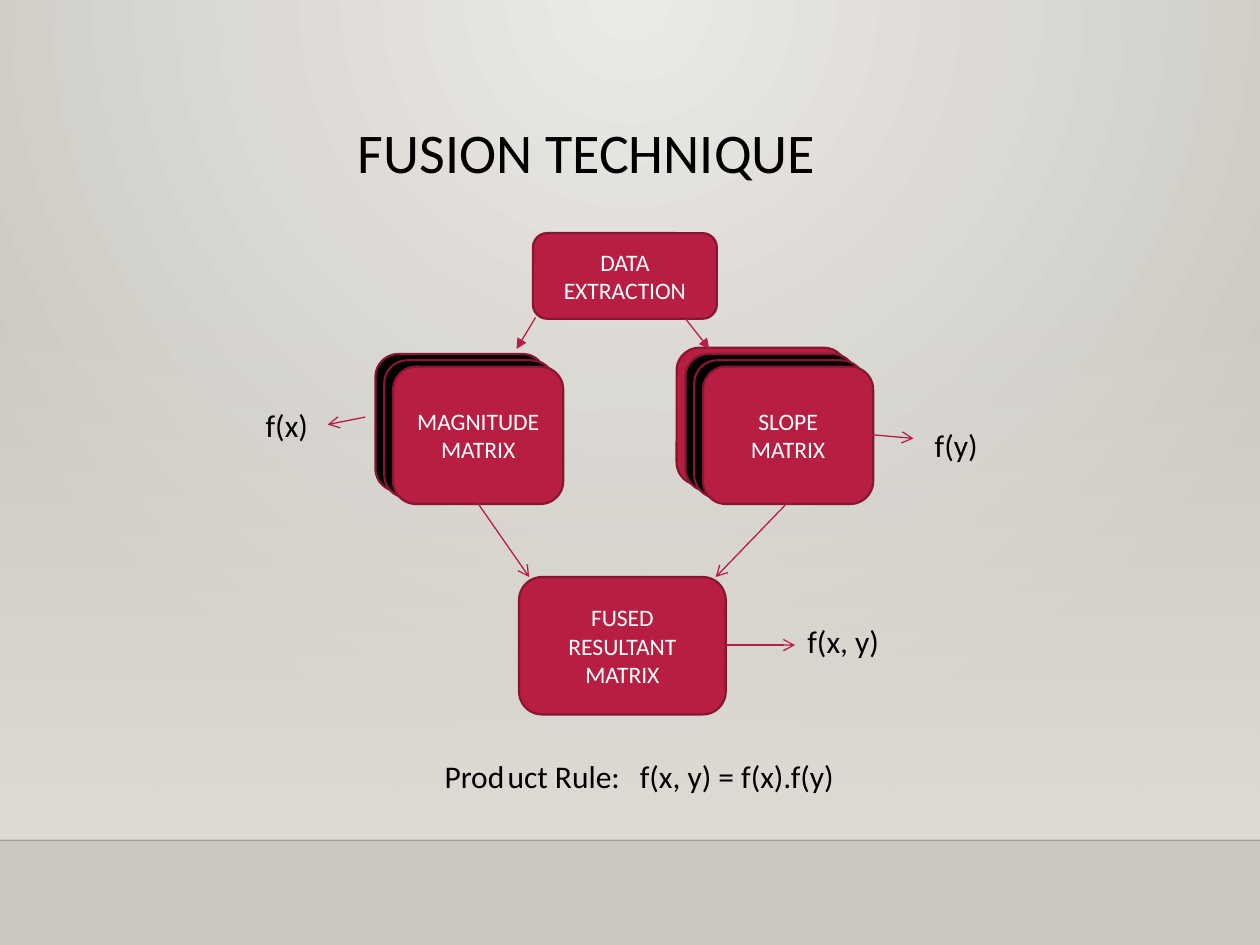
from lxml import etree
from pptx import Presentation
from pptx.dml.color import RGBColor
from pptx.enum import shapes, text
from pptx.oxml import parse_xml
from pptx.oxml.ns import nsdecls, qn
from pptx.util import Inches, Pt

FONT = "Calibri"
RED, DARK_RED, BLACK, WHITE = "B71E42", "871631", "000000", "FFFFFF"
CARD_SIZE = (1.35, 1.09)
CARD_STEP = (0.07, 0.05)


def colour(value):
    return RGBColor.from_string(value)


def style_text(frame, size, value):
    for para in frame.paragraphs:
        para.font.size = Pt(size)
        para.font.name = FONT
        para.font.color.rgb = colour(value)


def gradient(stops, direction):
    """Return a gradient fill element; stops are (percent, colour, opacity)."""
    marks = "".join(
        f'<a:gs pos="{place * 1000}"><a:srgbClr val="{value}">'
        f'<a:alpha val="{opacity * 1000}"/></a:srgbClr></a:gs>'
        for place, value, opacity in stops)
    return parse_xml(f'<a:gradFill {nsdecls("a")} rotWithShape="1">'
                     f'<a:gsLst>{marks}</a:gsLst>{direction}</a:gradFill>')


def set_background(page):
    fill = page.background.fill
    fill.solid()
    solid = page.background._cSld.find(".//" + qn("a:solidFill"))
    circle = ('<a:path path="circle"><a:fillToRect l="43000" t="0" '
              'r="43000" b="100000"/></a:path>')
    stops = [(0, "ECEAE7", 100), (100, "CAC7C1", 100)]
    solid.getparent().replace(solid, gradient(stops, circle))


def add_backdrop(page):
    panel = page.shapes.add_shape(shapes.MSO_SHAPE.RECTANGLE, Inches(0),
                                  Inches(2.2), Inches(10), Inches(4.46))
    panel.shadow.inherit = False
    panel.line.fill.background()
    panel.fill.solid()
    solid = panel._element.spPr.find(qn("a:solidFill"))
    stops = [(0, "DFDBD5", 0), (100, "DFDBD5", 100)]
    solid.getparent().replace(
        solid, gradient(stops, '<a:lin ang="5400000" scaled="0"/>'))
    edge = add_line(page, (0, 6.67), (10, 6.67), "000001", 1)
    shade = edge.line._ln.find(".//" + qn("a:srgbClr"))
    etree.SubElement(shade, qn("a:alpha"), val="20000")


def add_line(page, start, end, value=RED, width=0.75, head=None):
    ends = [Inches(number) for number in (*start, *end)]
    line = page.shapes.add_connector(shapes.MSO_CONNECTOR.STRAIGHT, *ends)
    line.line.color.rgb = colour(value)
    line.line.width = Pt(width)
    etree.SubElement(line._element.spPr, qn("a:effectLst"))
    if head:
        etree.SubElement(line.line._ln, qn("a:tailEnd"), type=head)
    return line


def add_box(page, left, top, width, height, words="", fill=RED, insets=(0.07, 0.04)):
    box = page.shapes.add_shape(shapes.MSO_SHAPE.ROUNDED_RECTANGLE, Inches(left),
                                Inches(top), Inches(width), Inches(height))
    box.shadow.inherit = False
    box.fill.solid()
    box.fill.fore_color.rgb = colour(fill)
    box.line.color.rgb = colour(DARK_RED)
    box.line.width = Pt(1.25)
    if words:
        frame = box.text_frame
        frame.text = words
        frame.vertical_anchor = text.MSO_ANCHOR.MIDDLE
        frame.margin_left = frame.margin_right = Inches(insets[0])
        frame.margin_top = frame.margin_bottom = Inches(insets[1])
        for para in frame.paragraphs:
            para.alignment = text.PP_ALIGN.CENTER
        style_text(frame, 13.5, WHITE)


def add_stack(page, left, top, words, back_fills):
    """Draw a labelled card at left, top with plain cards stepped behind it."""
    for depth, fill in zip(range(len(back_fills), 0, -1), back_fills):
        add_box(page, left - depth * CARD_STEP[0], top - depth * CARD_STEP[1],
                *CARD_SIZE, fill=fill)
    add_box(page, left, top, *CARD_SIZE, words)


def add_label(page, left, top, width, words, tab=None):
    label = page.shapes.add_textbox(Inches(left), Inches(top),
                                    Inches(width), Inches(0.4))
    frame = label.text_frame
    frame.word_wrap = tab is not None
    frame.text = words
    if tab:
        stops = etree.SubElement(frame.paragraphs[0]._p.get_or_add_pPr(),
                                 qn("a:tabLst"))
        etree.SubElement(stops, qn("a:tab"), pos=str(Inches(tab)), algn="l")
    style_text(frame, 18, BLACK)


def set_title(page, words):
    title = page.shapes.title
    title.left, title.top = Inches(1.26), Inches(0.46)
    title.width, title.height = Inches(9), Inches(1.25)
    frame = title.text_frame
    frame.text = words
    frame.vertical_anchor = text.MSO_ANCHOR.MIDDLE
    frame.margin_left = Inches(1.58)
    frame.margin_top = Inches(0.34)
    para = frame.paragraphs[0]
    para.alignment = text.PP_ALIGN.LEFT
    para.line_spacing = 0.9
    style_text(frame, 32, BLACK)


def main():
    deck = Presentation()
    deck.slide_width, deck.slide_height = Inches(10), Inches(7.5)
    page = deck.slides.add_slide(deck.slide_layouts[5])
    set_background(page)
    add_backdrop(page)
    set_title(page, "FUSION TECHNIQUE")

    add_stack(page, 3.12, 2.91, "MAGNITUDE\vMATRIX", [BLACK, BLACK])
    add_stack(page, 5.58, 2.91, "SLOPE\vMATRIX", [RED, BLACK, BLACK])
    add_box(page, 4.23, 1.85, 1.46, 0.68, "DATA\nEXTRACTION")
    add_box(page, 4.12, 4.58, 1.64, 1.09, "FUSED RESULTANT MATRIX",
            insets=(0.1, 0.05))

    for start, end, head in [
        ((4.25, 2.52), (4.1, 2.77), "triangle"),
        ((5.44, 2.53), (5.63, 2.77), "triangle"),
        ((2.9, 3.31), (2.6, 3.37), "arrow"),
        ((6.92, 3.45), (7.25, 3.48), "arrow"),
        ((3.79, 3.99), (4.2, 4.58), "arrow"),
        ((6.25, 3.99), (5.68, 4.58), "arrow"),
        ((5.76, 5.12), (6.31, 5.12), "arrow"),
    ]:
        add_line(page, start, end, head=head)

    add_label(page, 2.01, 3.17, 0.59, "f(x)")
    add_label(page, 7.32, 3.33, 0.59, "f(y)")
    add_label(page, 6.31, 4.89, 0.83, "f(x, y)")
    add_label(page, 4.98, 5.96, 1.93, "f(x, y) = f(x).f(y)")
    add_label(page, 3.43, 5.96, 1.6, "Prod\tuct Rule:", tab=0.5)
    deck.save("out.pptx")


if __name__ == "__main__":
    main()
